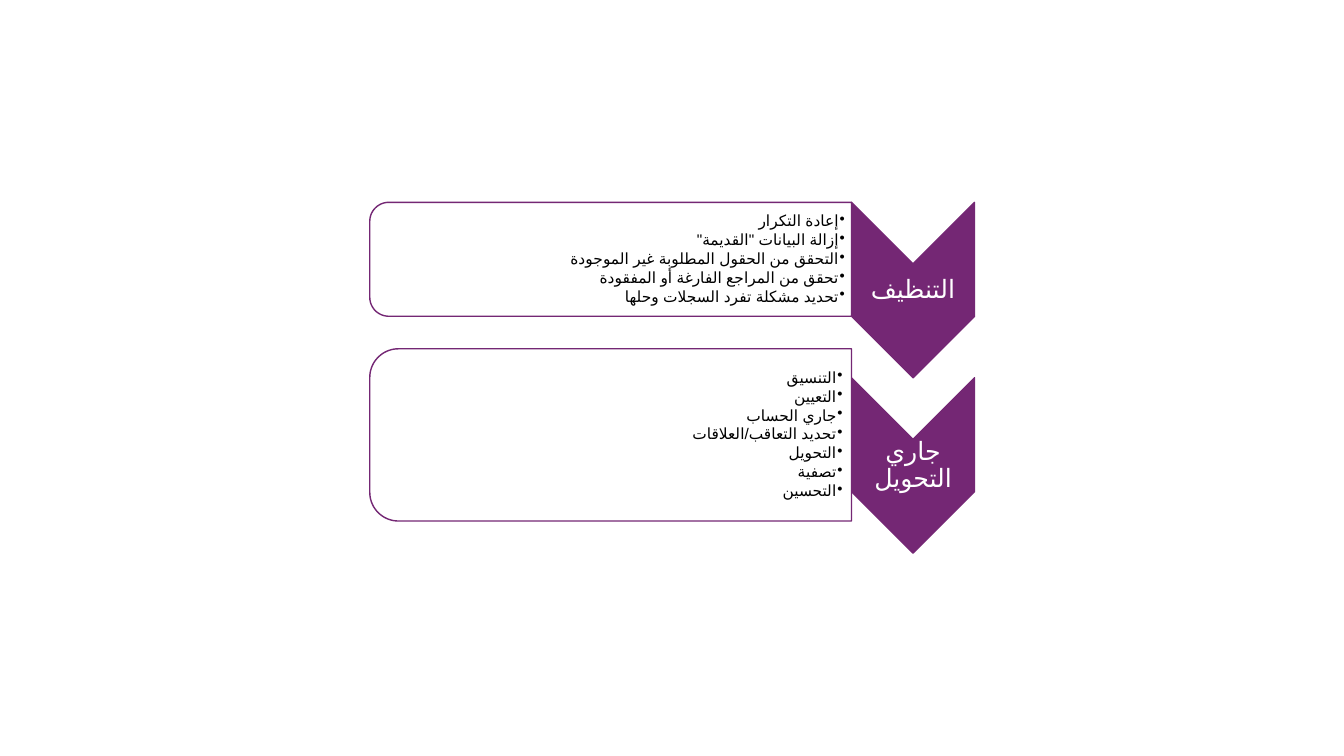
import math

from lxml import etree
from pptx import Presentation
from pptx.dml.color import RGBColor
from pptx.enum import lang, text
from pptx.oxml import ns
from pptx.util import Cm, Pt

COLORS = {"purple": "742774", "white": "FFFFFF", "black": "000000"}
FONT = "Arial"

STAGES = [
    ("التنظيف", 5.1, 2.87, 0.16, [
        "إعادة التكرار",
        "إزالة البيانات \"القديمة\"",
        "التحقق من الحقول المطلوبة غير الموجودة",
        "تحقق من المراجع الفارغة أو المفقودة",
        "تحديد مشكلة تفرد السجلات وحلها",
    ]),
    ("جاري التحويل", 8.79, 4.34, 0.22, [
        "التنسيق",
        "التعيين",
        "جاري الحساب",
        "تحديد التعاقب/العلاقات",
        "التحويل",
        "تصفية",
        "التحسين",
    ]),
]
LIST_LEFT, LIST_WIDTH = 9.32, 12.14
ARROW_LEFT, ARROW_TOP, ARROW_WIDTH, ARROW_HEIGHT = 21.46, 5.1, 3.1, 4.42


def color(name):
    return RGBColor.from_string(COLORS[name])


def add_outline(slide, points, fill, insets):
    corners = [(Cm(x), Cm(y)) for x, y in points]
    builder = slide.shapes.build_freeform(*corners[0], scale=1.0)
    builder.add_line_segments(corners[1:], close=True)
    shape = builder.convert_to_shape()
    shape.shadow.inherit = False
    shape.fill.solid()
    shape.fill.fore_color.rgb = color(fill)
    shape.line.color.rgb = color("purple")
    shape.line.width = Pt(1)
    frame = shape.text_frame
    frame.word_wrap = True
    frame.vertical_anchor = text.MSO_ANCHOR.MIDDLE
    frame.margin_left, frame.margin_top, frame.margin_right, frame.margin_bottom = map(Cm, insets)
    return shape


def format_paragraph(paragraph, size, font_color, alignment, spacing):
    paragraph.alignment = alignment
    paragraph.line_spacing = 0.9
    paragraph.space_after = Pt(size * spacing)
    properties = paragraph._p.get_or_add_pPr()
    properties.set("rtl", "1")
    paragraph.font.size = Pt(size)
    paragraph.font.color.rgb = color(font_color)
    paragraph.font.name = FONT
    defaults = properties.find(ns.qn("a:defRPr"))
    etree.SubElement(defaults, ns.qn("a:cs"), typeface=FONT)
    for run in paragraph.runs:
        run.font.language_id = lang.MSO_LANGUAGE_ID.ARABIC


def add_bullet(paragraph):
    properties = paragraph._p.get_or_add_pPr()
    properties.set("marR", str(Cm(0.16)))
    properties.set("marL", str(Cm(0.16)))
    properties.set("indent", str(-Cm(0.16)))
    etree.SubElement(properties, ns.qn("a:buChar"), char="•")


def add_arrow(slide, left, top, width, height, title):
    notch = width / 2
    right, bottom, middle = left + width, top + height, left + notch
    points = [
        (left, top), (left, bottom - notch), (middle, bottom),
        (right, bottom - notch), (right, top), (middle, top + notch),
    ]
    shape = add_outline(slide, points, "purple", (0.03, notch, 0.03, notch))
    paragraph = shape.text_frame.paragraphs[0]
    paragraph.text = title
    format_paragraph(paragraph, 18, "white", text.PP_ALIGN.CENTER, 0.35)


def add_list(slide, left, top, width, height, inset, items):
    radius = height / 6
    right, bottom = left + width, top + height

    def corner(center_y, start):
        angles = [math.radians(start + step * 5) for step in range(19)]
        return [(left + radius + radius * math.cos(angle),
                 center_y + radius * math.sin(angle)) for angle in angles]

    points = [(right, top), (right, bottom)]
    points += corner(bottom - radius, 90) + corner(top + radius, 180)
    shape = add_outline(slide, points, "white", (0.22, inset, inset, inset))
    fill_color = shape._element.spPr.find(ns.qn("a:solidFill"))[0]
    etree.SubElement(fill_color, ns.qn("a:alpha"), val="90000")
    frame = shape.text_frame
    for index, item in enumerate(items):
        paragraph = frame.add_paragraph() if index else frame.paragraphs[0]
        paragraph.text = item
        paragraph.level = 1
        add_bullet(paragraph)
        format_paragraph(paragraph, 11, "black", text.PP_ALIGN.RIGHT, 0.15)


def main():
    presentation = Presentation()
    presentation.slide_width, presentation.slide_height = Cm(33.87), Cm(19.05)
    slide = presentation.slides.add_slide(presentation.slide_layouts[6])
    for index, (title, top, height, inset, items) in enumerate(STAGES):
        add_arrow(slide, ARROW_LEFT, ARROW_TOP + index * ARROW_HEIGHT,
                  ARROW_WIDTH, ARROW_HEIGHT, title)
        add_list(slide, LIST_LEFT, top, LIST_WIDTH, height, inset, items)
    presentation.save("out.pptx")


if __name__ == "__main__":
    main()
